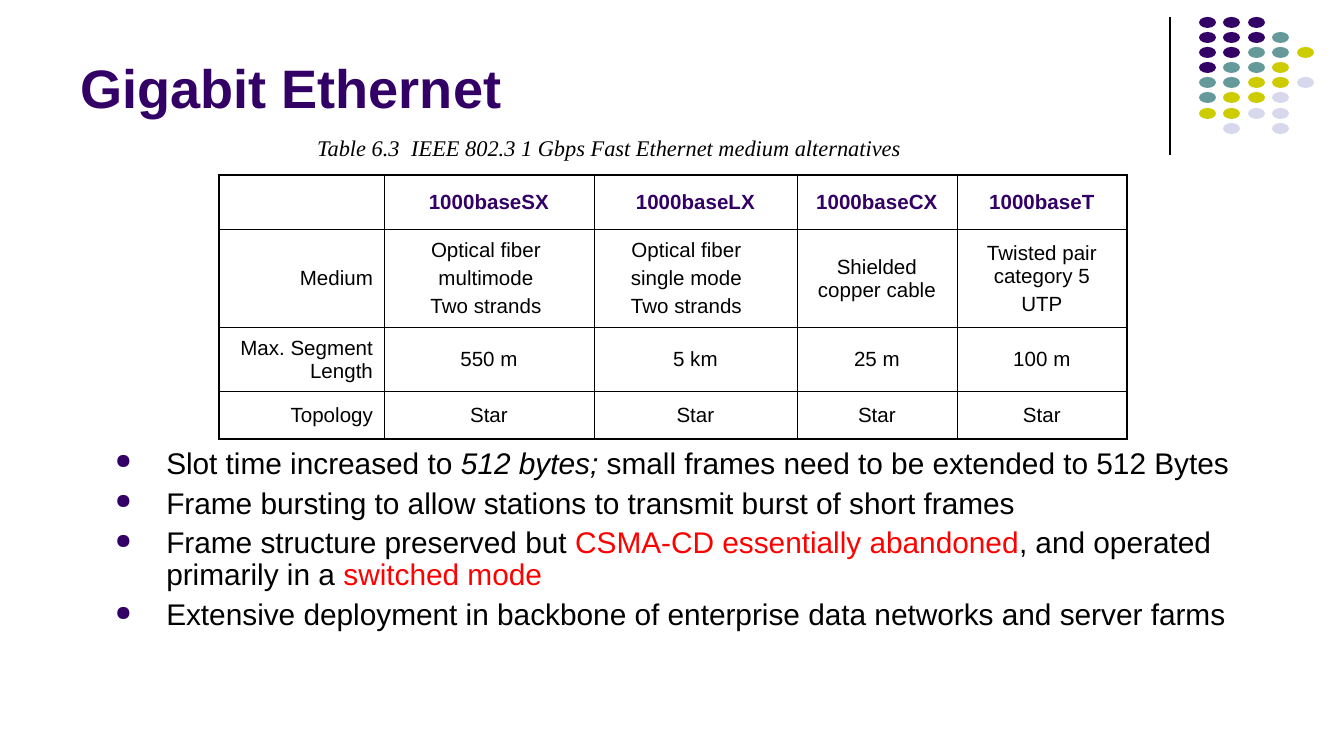
import lxml.etree
import pptx
import pptx.dml.color
import pptx.enum.shapes
import pptx.enum.text
import pptx.oxml.ns
import pptx.util

SCALE = 914400 / 134.4
COLORS = {"ink": "000000", "plum": "330066", "teal": "669999", "lime": "CCCC00",
          "mist": "D8D8EC", "red": "FF0000", "white": "FFFFFF"}
Align = pptx.enum.text.PP_ALIGN
Anchor = pptx.enum.text.MSO_ANCHOR
Pt = pptx.util.Pt


def px(num):
    return round(num * SCALE)


def write(para, text, style, color="ink"):
    run = para.add_run()
    run.text = text
    for key, val in style.items():
        setattr(run.font, key, val)
    run.font.color.rgb = pptx.dml.color.RGBColor.from_string(COLORS[color])


qn = pptx.oxml.ns.qn
sub = lxml.etree.SubElement
deck = pptx.Presentation()
deck.slide_width, deck.slide_height = px(1344), px(756)
slide = deck.slides.add_slide(deck.slide_layouts[6])
shapes = slide.shapes

rule = shapes.add_connector(pptx.enum.shapes.MSO_CONNECTOR.STRAIGHT,
                            px(1170), px(17), px(1170), px(155))
rule.line.color.rgb = pptx.dml.color.RGBColor.from_string(COLORS["ink"])
rule.line.width = Pt(0.75)
sub(rule._element.spPr, qn("a:effectLst"))

dots = ["PPP..", "PPPT.", "PPTTL", "PTTL.", "TTLLM", "TLLM.", "LLMM.", ".M.M."]
tones = {"P": "plum", "T": "teal", "L": "lime", "M": "mist"}
for row, marks in enumerate(dots):
    for col, mark in enumerate(marks):
        if mark == ".":
            continue
        dot = shapes.add_shape(pptx.enum.shapes.MSO_SHAPE.OVAL,
                               px(1199 + col * 49 // 2), px(17 + row * 91 // 6),
                               px(17), px(11))
        dot.shadow.inherit = False
        dot.fill.solid()
        dot.fill.fore_color.rgb = pptx.dml.color.RGBColor.from_string(COLORS[tones[mark]])
        dot.line.fill.background()

title = shapes.add_textbox(px(67), px(13), px(1109), px(113)).text_frame
for key, val in {"word_wrap": True, "vertical_anchor": Anchor.BOTTOM}.items():
    setattr(title, key, val)
write(title.paragraphs[0], "Gigabit Ethernet",
      {"name": "Arial", "size": Pt(29), "bold": True}, "plum")

label = shapes.add_textbox(px(304), px(128), px(613), px(40)).text_frame
for key, val in {"word_wrap": False, "vertical_anchor": Anchor.MIDDLE}.items():
    setattr(label, key, val)
para = label.paragraphs[0]
tabs = sub(para._p.get_or_add_pPr(), qn("a:tabLst"))
sub(tabs, qn("a:tab"), pos=str(px(94)), algn="l")
write(para, "Table 6.3\tIEEE 802.3 1 Gbps Fast Ethernet medium alternatives",
      {"name": "Times New Roman", "size": Pt(12), "italic": True})

rows = [
    ["", "1000baseSX", "1000baseLX", "1000baseCX", "1000baseT"],
    ["Medium", "Optical fiber\nmultimode\nTwo strands",
     "Optical fiber\nsingle mode\nTwo strands",
     "Shielded copper cable", "Twisted pair category 5\nUTP"],
    ["Max. Segment Length", "550 m", "5 km", "25 m", "100 m"],
    ["Topology", "Star", "Star", "Star", "Star"],
]
wide = [165, 210, 203, 160, 170]
high = [53, 98, 63, 48]
shifts = {(1, 1): 6, (1, 2): 18}
grid = shapes.add_table(len(rows), len(wide), px(219), px(175),
                        px(sum(wide)), px(sum(high))).table
for key, val in {"first_row": False, "horz_banding": False}.items():
    setattr(grid, key, val)
for part, size in zip(grid.columns, wide):
    part.width = px(size)
for part, size in zip(grid.rows, high):
    part.height = px(size)

look = {"vertical_anchor": Anchor.MIDDLE, "margin_left": px(11), "margin_right": px(11),
        "margin_top": px(7), "margin_bottom": px(7)}
for r, row in enumerate(rows):
    for c, text in enumerate(row):
        cell = grid.cell(r, c)
        for key, val in look.items():
            setattr(cell, key, val)
        edges = {"L": c == 0, "R": c == len(wide) - 1, "T": r == 0, "B": r == len(rows) - 1}
        for side, outer in edges.items():
            edge = sub(cell._tc.get_or_add_tcPr(), qn("a:ln" + side),
                       w=str(Pt(1.08 if outer else 0.45)))
            sub(sub(edge, qn("a:solidFill")), qn("a:srgbClr"), val=COLORS["ink"])
        cell.fill.solid()
        cell.fill.fore_color.rgb = pptx.dml.color.RGBColor.from_string(COLORS["white"])
        for n, line in enumerate(text.split("\n")):
            frame = cell.text_frame
            para = frame.add_paragraph() if n else frame.paragraphs[0]
            para.alignment = Align.CENTER if c else Align.RIGHT
            if n:
                para.space_before = Pt(2.8)
            elif (r, c) in shifts:
                para._p.get_or_add_pPr().set("marR", str(px(shifts[r, c])))
            if line:
                write(para, line, {"name": "Arial", "size": Pt(11), "bold": r == 0},
                      "ink" if r else "plum")

points = [
    [("Slot time increased to ", "ink", False), ("512 bytes; ", "ink", True),
     ("small frames need to be extended to 512 Bytes", "ink", False)],
    [("Frame bursting to allow stations to transmit burst of short frames", "ink", False)],
    [("Frame structure preserved but ", "ink", False),
     ("CSMA-CD essentially abandoned", "red", False),
     (", and operated primarily in a ", "ink", False), ("switched mode", "red", False)],
    [("Extensive deployment in backbone of enterprise data networks and server farms",
      "ink", False)],
]
body = shapes.add_textbox(px(102), px(442), px(1165), px(215)).text_frame
body.word_wrap = True
for n, point in enumerate(points):
    para = body.add_paragraph() if n else body.paragraphs[0]
    para.line_spacing = 0.9
    if n:
        para.space_before = Pt(4)
    prop = para._p.get_or_add_pPr()
    for key, val in {"marL": px(51), "indent": px(-51)}.items():
        prop.set(key, str(val))
    sub(sub(prop, qn("a:buClr")), qn("a:srgbClr"), val=COLORS["plum"])
    sub(prop, qn("a:buSzPct"), val="70000")
    sub(prop, qn("a:buChar"), char="●")
    for text, color, slant in point:
        write(para, text, {"name": "Arial", "size": Pt(16), "italic": slant}, color)

deck.save("out.pptx")
